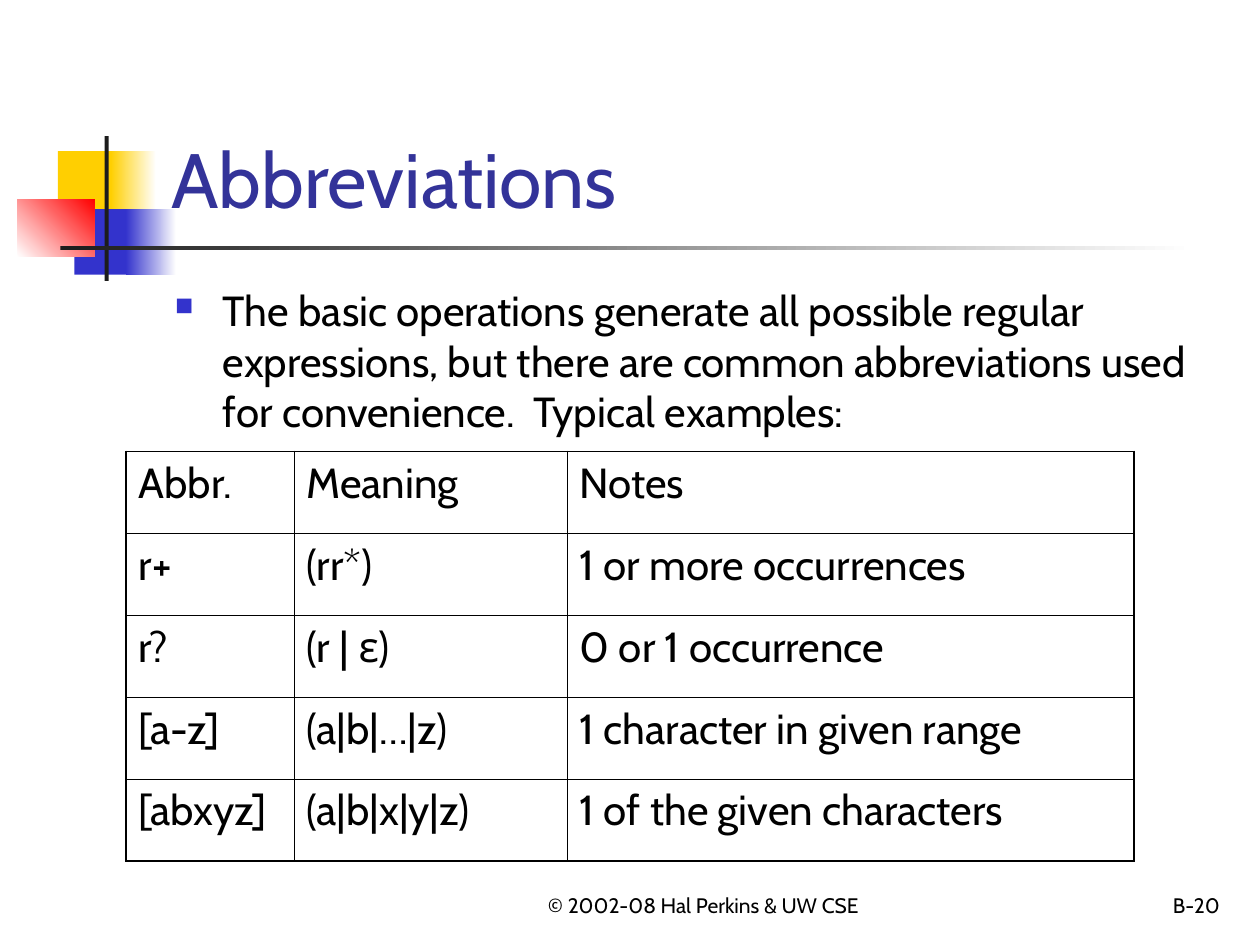
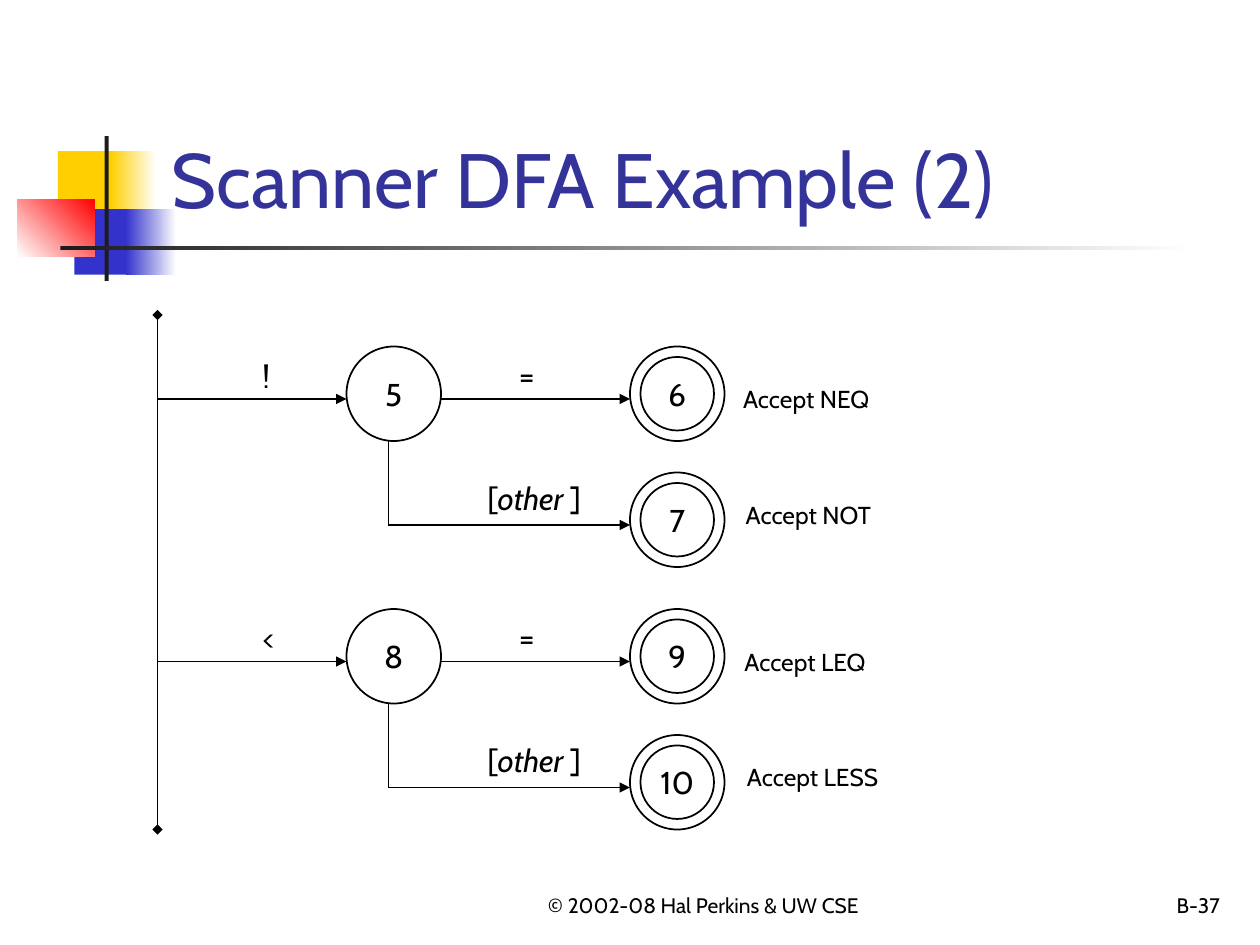
from pptx import Presentation
from pptx.dml.color import RGBColor
from pptx.enum.shapes import MSO_CONNECTOR, MSO_SHAPE
from pptx.enum.text import MSO_ANCHOR, MSO_AUTO_SIZE, PP_ALIGN
from pptx.oxml.ns import qn
from pptx.util import Inches, Pt
from lxml.etree import SubElement, Element

BLACK = RGBColor(0x00, 0x00, 0x00)
WHITE = RGBColor(0xFF, 0xFF, 0xFF)
INK = RGBColor(0x1C, 0x1C, 0x1C)
GOLD = RGBColor(0xFF, 0xCF, 0x01)
BLUE = RGBColor(0x33, 0x33, 0xCC)
NAVY = RGBColor(0x33, 0x33, 0x99)
RED = RGBColor(0xFF, 0x00, 0x00)
FONT = "Cabin"
COLS, ROWS = 120, 90

# box in grid units, colours (two make a gradient), gradient angle
MOTIF = [
    ((5.52, 14.4, 5.76, 6.24), [GOLD], 0),
    ((10.56, 14.4, 4.32, 6.24), [GOLD, WHITE], 0),
    ((7.08, 19.92, 5.52, 6.24), [BLUE], 0),
    ((12, 19.92, 4.8, 6.24), [BLUE, WHITE], 0),
    ((1.68, 18.96, 7.32, 5.52), [WHITE, RED], 45),
    ((9.96, 12.96, 0.4, 13.8), [INK], 0),
    ((5.76, 23.4, 108, 0.4), [INK, WHITE], 0),
]


class Deck:
    def __init__(self):
        self.prs = Presentation()
        self.prs.slide_width, self.prs.slide_height = Inches(10), Inches(7.5)
        self.slide = None

    def x(self, cols):
        return round(self.prs.slide_width * cols / COLS)

    def y(self, rows):
        return round(self.prs.slide_height * rows / ROWS)

    def place(self, box):
        left, top, width, height = box
        return self.x(left), self.y(top), self.x(width), self.y(height)

    def page(self, title, number):
        """Start a slide with the motif, title and footers."""
        self.slide = self.prs.slides.add_slide(self.prs.slide_layouts[6])
        for box, tints, angle in MOTIF:
            self.block(box, tints, angle)
        low = MSO_ANCHOR.BOTTOM
        self.text((48, 82, 38, 6), ["© 2002-08 Hal Perkins & UW CSE"], 12,
                  align=PP_ALIGN.CENTER, anchor=low)
        self.text((92.4, 82, 24.96, 6), [number], 12,
                  align=PP_ALIGN.RIGHT, anchor=low)
        self.text((15.12, 2.76, 102.24, 19.2), [title], 44, NAVY, anchor=low)

    def block(self, box, tints, angle):
        shape = self.slide.shapes.add_shape(MSO_SHAPE.RECTANGLE, *self.place(box))
        shape.shadow.inherit = False
        shape.line.fill.background()
        if len(tints) == 1:
            shape.fill.solid()
            shape.fill.fore_color.rgb = tints[0]
            return
        shape.fill.gradient()
        shape.fill.gradient_angle = angle
        for stop, tint in zip(shape.fill.gradient_stops, tints):
            stop.color.rgb = tint

    def add_runs(self, para, parts, size, color=BLACK):
        """Add runs; a part given as a one-item tuple is italic."""
        for part in parts:
            slant = isinstance(part, tuple)
            run = para.add_run()
            run.text = part[0] if slant else part
            run.font.name, run.font.size = FONT, Pt(size)
            run.font.color.rgb = color
            if slant:
                run.font.italic = True

    def text(self, box, parts, size, color=BLACK, align=PP_ALIGN.LEFT,
             anchor=MSO_ANCHOR.TOP):
        frame = self.slide.shapes.add_textbox(*self.place(box)).text_frame
        frame.word_wrap = True
        frame.vertical_anchor = anchor
        para = frame.paragraphs[0]
        para.alignment = align
        self.add_runs(para, parts, size, color)
        return frame

    def label(self, box, parts, size):
        frame = self.text(box, parts, size)
        frame.word_wrap = False
        frame.auto_size = MSO_AUTO_SIZE.SHAPE_TO_FIT_TEXT

    def bullet(self, box, words):
        frame = self.text(box, [words], 24)
        props = frame.paragraphs[0]._p.get_or_add_pPr()
        props.set("marL", str(Inches(0.38)))
        props.set("indent", str(-Inches(0.38)))
        tint = SubElement(props, qn("a:buClr"))
        SubElement(tint, qn("a:srgbClr"), val=str(BLUE))
        SubElement(props, qn("a:buSzPct"), val="60000")
        SubElement(props, qn("a:buChar"), char="■")

    def edge(self, cell, order, side, width):
        line = Element(qn("a:ln" + side), w=str(Pt(width)))
        fill = SubElement(line, qn("a:solidFill"))
        SubElement(fill, qn("a:srgbClr"), val=str(BLACK))
        cell._tc.get_or_add_tcPr().insert(order, line)

    def table(self, left, top, widths, height, data):
        box = (left, top, sum(widths), height * len(data))
        table = self.slide.shapes.add_table(
            len(data), len(widths), *self.place(box)).table
        table.first_row = table.horz_banding = False
        for col, width in zip(table.columns, widths):
            col.width = self.x(width)
        for i, row in enumerate(data):
            table.rows[i].height = self.y(height)
            for j, words in enumerate(row):
                cell = table.cell(i, j)
                cell.fill.background()
                self.add_runs(cell.text_frame.paragraphs[0], [words], 24)
                outer = {"L": j == 0, "R": j == len(row) - 1,
                         "T": i == 0, "B": i == len(data) - 1}
                for order, (side, rim) in enumerate(outer.items()):
                    self.edge(cell, order, side, 1.08 if rim else 0.45)

    def line(self, start, end, head=None, tail=None):
        link = self.slide.shapes.add_connector(
            MSO_CONNECTOR.STRAIGHT, self.x(start[0]), self.y(start[1]),
            self.x(end[0]), self.y(end[1]))
        link.line.color.rgb = BLACK
        link.line.width = Pt(0.75)
        props = link._element.spPr
        for tag, kind in (("a:headEnd", head), ("a:tailEnd", tail)):
            if kind:
                SubElement(props.find(qn("a:ln")), qn(tag), type=kind)
        SubElement(props, qn("a:effectLst"))

    def ring(self, left, top, size, words=None):
        shape = self.slide.shapes.add_shape(
            MSO_SHAPE.OVAL, *self.place((left, top, size, size)))
        shape.shadow.inherit = False
        shape.fill.background()
        shape.line.color.rgb = BLACK
        shape.line.width = Pt(1)
        if words:
            frame = shape.text_frame
            frame.word_wrap = False
            frame.vertical_anchor = MSO_ANCHOR.MIDDLE
            para = frame.paragraphs[0]
            para.alignment = PP_ALIGN.CENTER
            self.add_runs(para, [words], 18)

    def final(self, left, top, words):
        """Draw an accepting state: two rings, one in the other."""
        self.ring(left, top, 9)
        self.ring(left + 1, top + 1, 7, words)

    def branch(self, top, sign, state, other, ends):
        """Draw one state with its '=' exit and its exit for all else."""
        mid, low, drop = top + 5, top + 17, 12
        self.line((15, mid), (33, mid), tail="triangle")
        self.label((23.8, top + 0.4, 3.6, 4.8), [sign], 18)
        self.ring(33, top, 9, state)
        self.line((42, mid), (60, mid), tail="triangle")
        self.label((48.24, top + 0.3, 4.08, 4.8), ["="], 18)
        self.line((37, top + 9), (37, low))
        self.line((37, low), (60, low), tail="triangle")
        self.label((45.24, top + drop, 12.24, 4.8), other, 18)
        for (name, words, left, width), down, gap in zip(ends, (0, drop), (3, 2)):
            self.final(60, top + down, name)
            self.label((left, top + down + gap, width, 4.08), [words], 14)


def main():
    deck = Deck()
    deck.page("Abbreviations", "B-20")
    deck.bullet((15.48, 26.52, 102, 54),
                "The basic operations generate all possible regular expressions, "
                "but there are common abbreviations used for convenience.  "
                "Typical examples:")
    deck.table(12, 43, [16, 26, 54], 7.8, [
        ("Abbr.", "Meaning", "Notes"),
        ("r+", "(rr*)", "1 or more occurrences"),
        ("r?", "(r | ε)", "0 or 1 occurrence"),
        ("[a-z]", "(a|b|…|z)", "1 character in given range"),
        ("[abxyz]", "(a|b|x|y|z)", "1 of the given characters"),
    ])

    deck.page("Scanner DFA Example (2)", "B-37")
    deck.line((15, 30), (15, 79), "diamond", "diamond")
    deck.branch(33, "!", "5", ["[", ("other ",), "]"],
                [("6", "Accept NEQ", 69.6, 15.24),
                 ("7", "Accept NOT", 69.84, 15.24)])
    deck.branch(58, "<", "8", ["[", ("other",), " ]"],
                [("9", "Accept LEQ", 69.72, 14.64),
                 ("10", "Accept LESS", 69.96, 15.48)])
    deck.prs.save("out.pptx")


if __name__ == "__main__":
    main()
